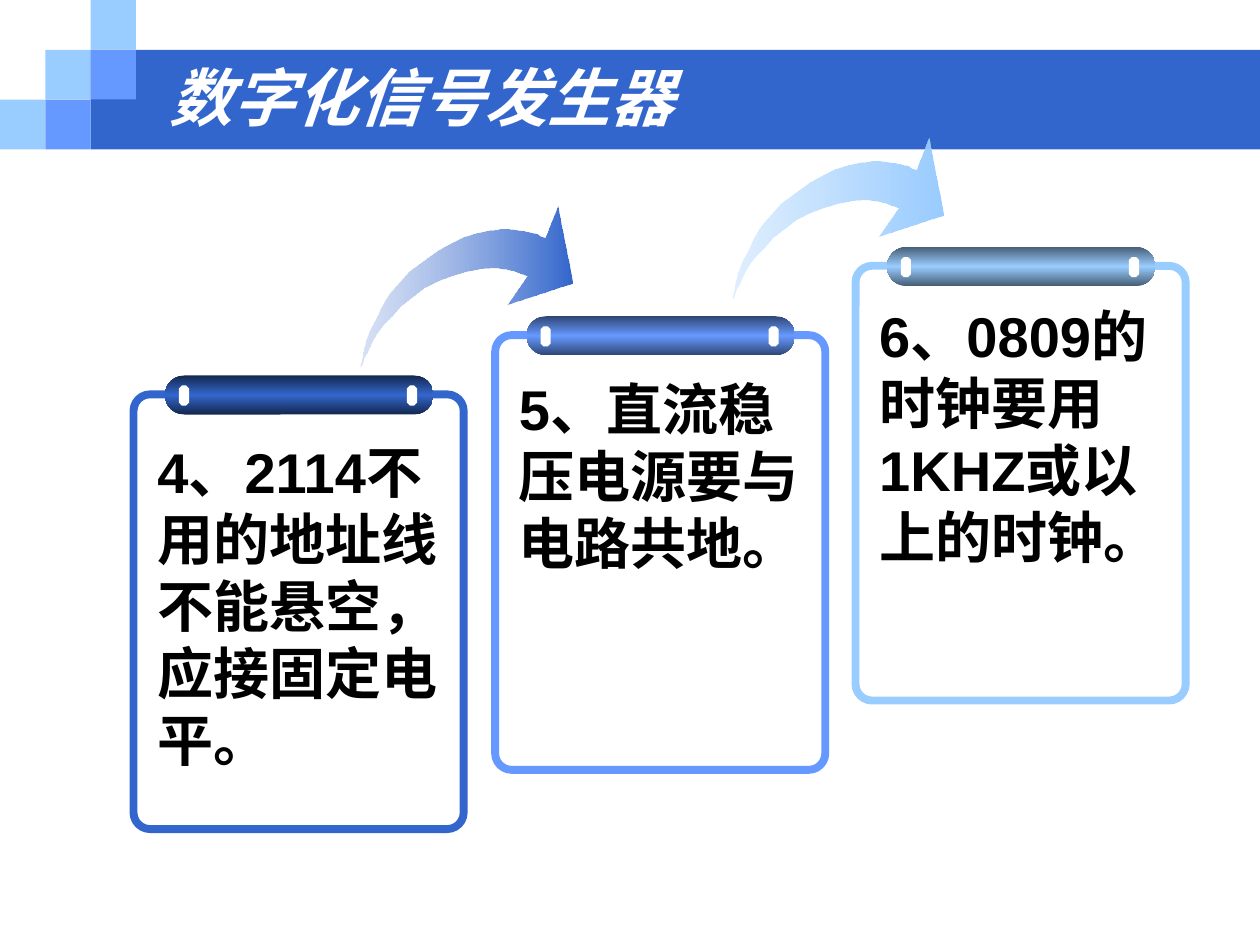
from lxml.etree import SubElement
from pptx import Presentation
from pptx.dml.color import RGBColor
from pptx.enum.shapes import MSO_SHAPE
from pptx.enum.text import MSO_ANCHOR, MSO_AUTO_SIZE
from pptx.oxml.ns import qn
from pptx.util import Inches, Pt

BLUE, MIDDLE, SKY, WHITE = "3366CC", "6699FF", "99CCFF", "FFFFFF"

ARROW_POINTS = [
    (0, 127), (1, 126), (2, 124), (3, 120), (6, 115), (9, 108), (13, 101),
    (18, 94), (25, 87), (32, 79), (41, 72), (50, 65), (62, 59), (73, 55),
    (83, 52), (93, 50), (102, 49), (109, 49), (116, 50), (121, 51), (126, 53),
    (129, 54), (132, 55), (116, 78), (168, 61), (156, 0), (146, 25), (143, 24),
    (140, 22), (136, 21), (131, 20), (125, 19), (118, 18), (110, 18), (102, 19),
    (92, 21), (82, 24), (72, 29), (61, 35), (50, 43), (39, 51), (31, 60),
    (23, 69), (17, 79), (13, 88), (8, 97), (5, 105), (3, 112), (2, 118),
    (1, 123),
]

CARDS = [
    (1.06, 3.13, 0.29, 2.77, BLUE, "13274E", "4、2114不用的地址线不能悬空，应接固定电平。"),
    (3.93, 2.66, 0.26, 1.7, MIDDLE, "2F4675", "5、直流稳压电源要与电路共地。"),
    (6.79, 2.11, 0.23, 2.24, SKY, "465E75", "6、0809的时钟要用1KHZ或以上的时钟。"),
]

ARROWS = [
    (2.86, 1.64, BLUE, "88A6E0"),
    (5.81, 1.1, SKY, "A1CFFE"),
]


def color(value):
    """Turn a hex string into a colour."""
    return RGBColor.from_string(value)


def add_block(slide, kind, left, top, width, height, fill=None):
    """Add a preset shape without outline or shadow."""
    block = slide.shapes.add_shape(
        kind, Inches(left), Inches(top), Inches(width), Inches(height))
    block.shadow.inherit = False
    block.line.fill.background()
    if fill:
        block.fill.solid()
        block.fill.fore_color.rgb = color(fill)
    else:
        block.fill.background()
    return block


def set_gradient(shape, angle, stops):
    """Fill a shape with stops of position, colour and opacity in percent."""
    shape.fill.gradient()
    shape.fill.gradient_angle = angle
    stop_list = next(shape.element.spPr.iter(qn("a:gsLst")))
    for old_stop in list(stop_list):
        stop_list.remove(old_stop)
    for position, value, opacity in stops:
        stop = SubElement(stop_list, qn("a:gs"), pos=str(position * 1000))
        tint = SubElement(stop, qn("a:srgbClr"), val=value)
        if opacity < 100:
            SubElement(tint, qn("a:alpha"), val=str(opacity * 1000))


def add_text(slide, left, top, width, height, text, size, font, fill):
    """Add a wrapped bold text box and return it with its run."""
    box = slide.shapes.add_textbox(
        Inches(left), Inches(top), Inches(width), Inches(height))
    frame = box.text_frame
    frame.word_wrap = True
    frame.text = text
    span = frame.paragraphs[0].runs[0]
    span.font.size = Pt(size)
    span.font.bold = True
    span.font.color.rgb = color(fill)
    span.font.name = font
    SubElement(span.font._element, qn("a:ea"), typeface=font)
    return box, span


def add_header(slide, left, top, unit_width, unit_height):
    """Draw the title band with its stepped squares."""
    add_block(slide, MSO_SHAPE.RECTANGLE, left + 2 * unit_width,
              top + unit_height, 10 - left - 2 * unit_width, 2 * unit_height, BLUE)
    squares = [(0, 2, SKY), (1, 1, SKY), (2, 0, SKY), (2, 1, MIDDLE), (1, 2, MIDDLE)]
    for column, row, fill in squares:
        add_block(slide, MSO_SHAPE.RECTANGLE, left + column * unit_width,
                  top + row * unit_height, unit_width, unit_height, fill)
    title, span = add_text(slide, left + 1.25, top + 0.5, 8.08, 0.53,
                           "数字化信号发生器", 36, "Noto Sans CJK SC", WHITE)
    title.text_frame.vertical_anchor = MSO_ANCHOR.MIDDLE
    span.font.italic = True


def add_arrow(slide, left, top, fill, faded):
    """Draw a curved arrow that fades towards its tail."""
    builder = slide.shapes.build_freeform(*ARROW_POINTS[0], scale=Inches(0.01))
    builder.add_line_segments(ARROW_POINTS[1:], close=True)
    arrow = builder.convert_to_shape(Inches(left), Inches(top))
    arrow.shadow.inherit = False
    arrow.line.fill.background()
    set_gradient(arrow, 180, [(0, fill, 100), (100, faded, 32)])


def add_card(slide, left, top, text_drop, text_height, fill, dark, text):
    """Draw a framed card with a clip bar and its text."""
    frame = add_block(slide, MSO_SHAPE.ROUNDED_RECTANGLE, left, top, 2.62, 3.45)
    frame.adjustments[0] = 0.05
    frame.line.color.rgb = color(fill)
    frame.line.width = Pt(4.5)

    bar = add_block(slide, MSO_SHAPE.ROUNDED_RECTANGLE,
                    left + 0.25, top - 0.15, 2.13, 0.31)
    bar.adjustments[0] = 0.5
    set_gradient(bar, 90, [(0, dark, 100), (50, fill, 100), (100, dark, 100)])

    for offset in (0.36, 2.17):
        add_block(slide, MSO_SHAPE.OCTAGON, left + offset, top - 0.07,
                  0.08, 0.16, WHITE)

    box, _ = add_text(slide, left + 0.09, top + text_drop, 2.43, text_height,
                      text, 32, "Arial", "000000")
    box.text_frame.auto_size = MSO_AUTO_SIZE.SHAPE_TO_FIT_TEXT


def main():
    """Build and save the slide."""
    deck = Presentation()
    deck.slide_width, deck.slide_height = Inches(10), Inches(7.5)
    page = deck.slides.add_slide(deck.slide_layouts[6])
    add_header(page, 0, 0, 0.36, 0.395)
    for arrow in ARROWS:
        add_arrow(page, *arrow)
    for card in CARDS:
        add_card(page, *card)
    deck.save("out.pptx")


if __name__ == "__main__":
    main()
